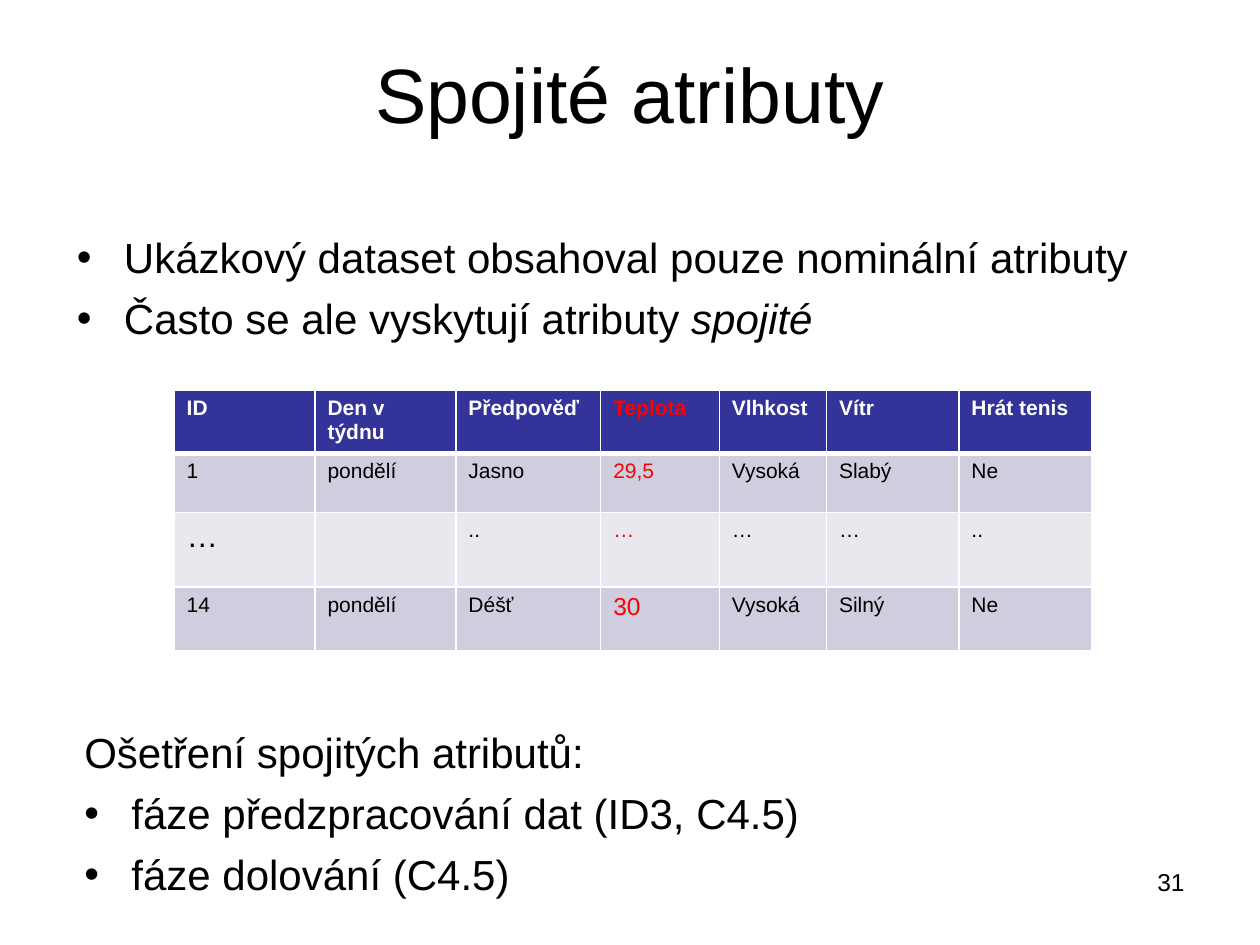
from dataclasses import dataclass

from lxml import etree
from pptx import Presentation
from pptx.dml.color import RGBColor
from pptx.enum.text import MSO_ANCHOR, PP_ALIGN
from pptx.oxml.ns import qn
from pptx.util import Cm, Pt

CENTER, RIGHT = PP_ALIGN.CENTER, PP_ALIGN.RIGHT
TOP, MIDDLE = MSO_ANCHOR.TOP, MSO_ANCHOR.MIDDLE


@dataclass(frozen=True)
class Theme:
    font: str = "Arial"
    text: str = "000000"
    light: str = "FFFFFF"
    accent: str = "FF0000"
    header: str = "333399"
    odd_row: str = "CECEDE"
    even_row: str = "E8E8EF"
    title_size: int = 44
    body_size: int = 24
    number_size: int = 14
    cell_size: int = 12


theme = Theme()


def add_run(p, text, size, color=theme.text, bold=False, italic=False):
    r = p.add_run()
    r.text = text
    r.font.name = theme.font
    r.font.size = Pt(size)
    r.font.bold = bold
    r.font.italic = italic
    r.font.color.rgb = RGBColor.from_string(color)


def add_border(cell, side, width):
    ln = etree.SubElement(cell._tc.get_or_add_tcPr(), qn(f"a:ln{side}"), w=str(Pt(width)))
    fill = etree.SubElement(ln, qn("a:solidFill"))
    etree.SubElement(fill, qn("a:srgbClr"), val=theme.light)


prs = Presentation()
prs.slide_width, prs.slide_height = Cm(25.4), Cm(19.05)
s = prs.slides.add_slide(prs.slide_layouts[5])

sp = s.shapes.title
sp.left, sp.top, sp.width, sp.height = Cm(1.27), Cm(0.76), Cm(22.86), Cm(3.18)
tf = sp.text_frame
tf.vertical_anchor = MIDDLE
tf.margin_bottom = Cm(1.09)
p = tf.paragraphs[0]
p.alignment = CENTER
add_run(p, "Spojité atributy", theme.title_size)

text_blocks = [
    ((1.3, 4.55, 22.86, 4.4), [
        (True, [("Ukázkový dataset obsahoval pouze nominální atributy", False)]),
        (True, [("Často se ale vyskytují atributy ", False), ("spojité", True)]),
    ]),
    ((1.45, 14.53, 22.86, 4.4), [
        (False, [("Ošetření spojitých atributů:", False)]),
        (True, [("fáze předzpracování dat (ID3, C4.5)", False)]),
        (True, [("fáze dolování (C4.5)", False)]),
    ]),
]
for box, paragraphs in text_blocks:
    tf = s.shapes.add_textbox(*map(Cm, box)).text_frame
    tf.word_wrap = True
    for i, (bulleted, runs) in enumerate(paragraphs):
        p = tf.paragraphs[0] if i == 0 else tf.add_paragraph()
        p.space_before = Pt(6)
        if bulleted:
            pPr = p._p.get_or_add_pPr()
            pPr.set("marL", str(Cm(0.95)))
            pPr.set("indent", str(-Cm(0.95)))
            etree.SubElement(pPr, qn("a:buFont"), typeface=theme.font)
            etree.SubElement(pPr, qn("a:buChar"), char="•")
        for text, italic in runs:
            add_run(p, text, theme.body_size, italic=italic)

rows = [
    ["ID", "Den v týdnu", "Předpověď", "Teplota", "Vlhkost", "Vítr", "Hrát tenis"],
    ["1", "pondělí", "Jasno", "29,5", "Vysoká", "Slabý", "Ne"],
    ["…", "", "..", "…", "…", "…", ".."],
    ["14", "pondělí", "Déšť", "30", "Vysoká", "Silný", "Ne"],
]
col_widths = [2.84, 2.84, 2.92, 2.39, 2.16, 2.67, 2.67]
row_heights = [1.19, 1.19, 1.5, 1.28]
row_fills = [theme.header, theme.odd_row, theme.even_row, theme.odd_row]
special_sizes = {(2, 0): 18, (3, 3): 14}
temperature_col = 3

table = s.shapes.add_table(len(rows), len(col_widths), Cm(3.51), Cm(7.87),
                           Cm(sum(col_widths)), Cm(sum(row_heights))).table
for col, width in zip(table.columns, col_widths):
    col.width = Cm(width)
for i, values in enumerate(rows):
    table.rows[i].height = Cm(row_heights[i])
    header = i == 0
    for j, text in enumerate(values):
        cell = table.cell(i, j)
        cell.vertical_anchor = TOP
        for side in "LRTB":
            thick = (i, side) in [(0, "B"), (1, "T")]
            add_border(cell, side, 3 if thick else 1)
        cell.fill.solid()
        cell.fill.fore_color.rgb = RGBColor.from_string(row_fills[i])
        color = theme.light if header else theme.text
        if j == temperature_col:
            color = theme.accent
        if text:
            size = special_sizes.get((i, j), theme.cell_size)
            add_run(cell.text_frame.paragraphs[0], text, size, color, bold=header)

tf = s.shapes.add_textbox(Cm(18.2), Cm(17.35), Cm(5.93), Cm(1.32)).text_frame
tf.word_wrap = True
p = tf.paragraphs[0]
p.alignment = RIGHT
add_run(p, "31", theme.number_size)

prs.save("out.pptx")
